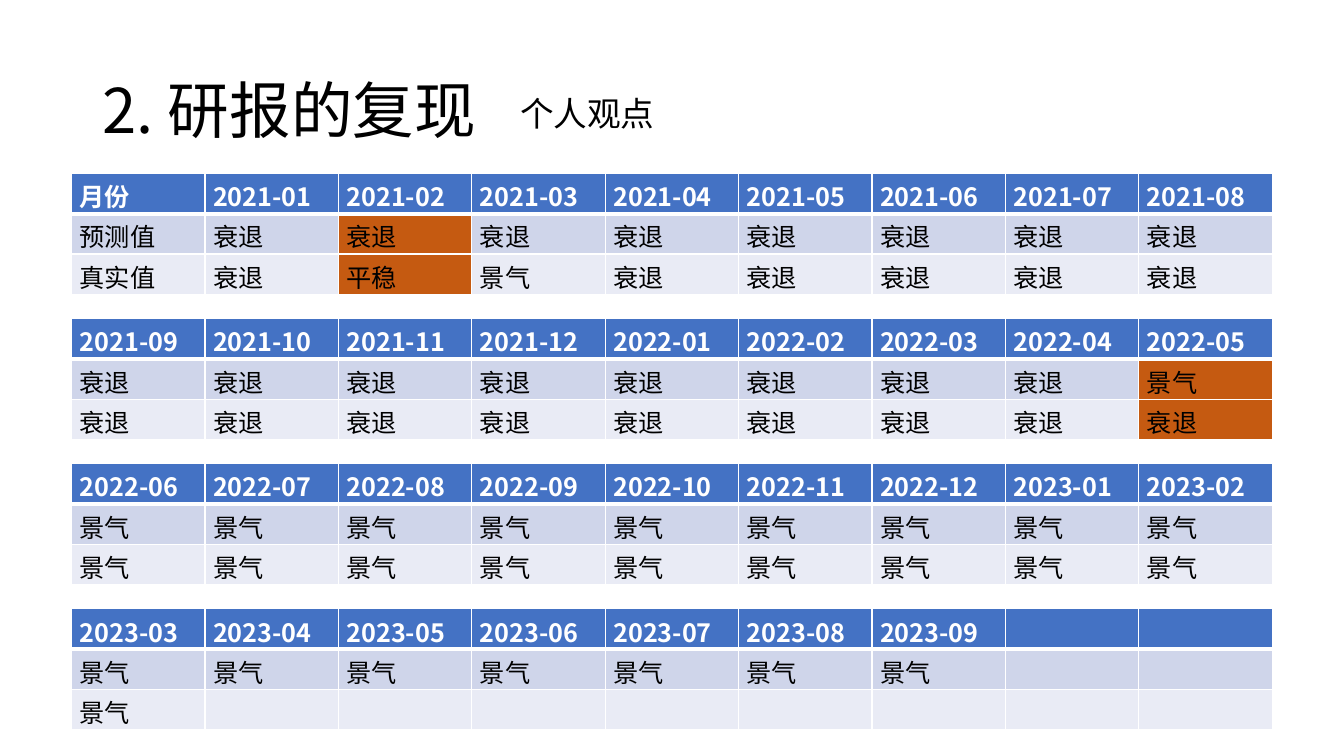
from dataclasses import dataclass

from lxml import etree
from pptx import Presentation
from pptx.dml.color import RGBColor
from pptx.enum.text import MSO_ANCHOR
from pptx.oxml.ns import qn
from pptx.util import Emu, Pt

MIDDLE = MSO_ANCHOR.MIDDLE
TOP = MSO_ANCHOR.TOP
FONT = "Noto Sans CJK SC"
WHITE, BLACK = "FFFFFF", "000000"
HEADER_BLUE, HIGHLIGHT = "4472C4", "C55A11"
ROW_FILLS = (HEADER_BLUE, "CFD5EA", "E9EBF5")
RECESSION, STABLE, BOOM = "衰退", "平稳", "景气"
COLUMNS = 9
TABLE_COUNT = 4
TABLE_LEFT, TABLE_TOP, TABLE_WIDTH = 71, 172, 1191
TABLE_STEP, ROW_HEIGHT = 144, 40
BORDER_POINTS = {"lnL": 1, "lnR": 1, "lnT": 1, "lnB": 1}
HEADER_BORDER_POINTS = BORDER_POINTS | {"lnB": 3}


@dataclass(frozen=True)
class Heading:
    text: str
    left: int
    top: int
    width: int
    height: int
    size: int
    anchor: MSO_ANCHOR
    line_spacing: float


@dataclass(frozen=True)
class MonthRecord:
    month: str = ""
    predicted: str = ""
    actual: str = ""
    highlighted: bool = False


HEADINGS = (
    Heading("2. 研报的复现", 92, 40, 1150, 145, 44, MIDDLE, 0.9),
    Heading("个人观点", 506, 87, 177, 50, 24, TOP, 1.0),
)


def px(length: int) -> Emu:
    return Emu(length * 9144)


def color(value: str) -> RGBColor:
    return RGBColor.from_string(value)


def write_text(paragraph, text: str, *, size: int, fill: str = BLACK, bold: bool = False) -> None:
    run = paragraph.add_run()
    run.text = text
    font = run.font
    font.name = FONT
    font.size = Pt(size)
    font.bold = bold
    font.color.rgb = color(fill)
    etree.SubElement(font._element, qn("a:ea"), typeface=FONT)


def draw_heading(slide, heading: Heading) -> None:
    shape = slide.shapes.add_textbox(
        px(heading.left), px(heading.top), px(heading.width), px(heading.height)
    )
    frame = shape.text_frame
    frame.word_wrap = True
    frame.vertical_anchor = heading.anchor
    paragraph = frame.paragraphs[0]
    paragraph.line_spacing = heading.line_spacing
    write_text(paragraph, heading.text, size=heading.size)


def draw_borders(cell, widths: dict[str, int]) -> None:
    properties = cell._tc.get_or_add_tcPr()
    for side, points in widths.items():
        line = etree.SubElement(properties, qn(f"a:{side}"), w=str(Pt(points)))
        solid = etree.SubElement(line, qn("a:solidFill"))
        etree.SubElement(solid, qn("a:srgbClr"), val=WHITE)


def draw_cell(cell, text: str, row: int, highlighted: bool) -> None:
    is_header = row == 0
    cell.margin_left = cell.margin_right = px(8)
    cell.margin_top, cell.margin_bottom = px(4), px(0)
    draw_borders(cell, HEADER_BORDER_POINTS if is_header else BORDER_POINTS)
    cell.fill.solid()
    cell.fill.fore_color.rgb = color(
        HIGHLIGHT if highlighted and not is_header else ROW_FILLS[row]
    )
    if text:
        write_text(
            cell.text_frame.paragraphs[0], text,
            size=18, fill=WHITE if is_header else BLACK, bold=is_header,
        )


def draw_table(slide, top: int, records: list[MonthRecord]) -> None:
    rows = len(ROW_FILLS)
    table = slide.shapes.add_table(
        rows, COLUMNS, px(TABLE_LEFT), px(top), px(TABLE_WIDTH), px(rows * ROW_HEIGHT)
    ).table
    for column, record in enumerate(records):
        texts = (record.month, record.predicted, record.actual)
        for row, text in enumerate(texts):
            draw_cell(table.cell(row, column), text, row, record.highlighted)


def build_records() -> list[MonthRecord]:
    months = [f"{2021 + index // 12}-{index % 12 + 1:02d}" for index in range(33)]
    predicted = [RECESSION] * 16 + [BOOM] * 17
    actual = [RECESSION, STABLE, BOOM] + [RECESSION] * 14 + [BOOM] * 10
    actual += [""] * (len(months) - len(actual))
    records = [MonthRecord("月份", "预测值", "真实值")]
    for month, forecast, outcome in zip(months, predicted, actual):
        records.append(MonthRecord(month, forecast, outcome, month in ("2021-02", "2022-05")))
    return records + [MonthRecord()] * (TABLE_COUNT * COLUMNS - len(records))


def main() -> None:
    presentation = Presentation()
    presentation.slide_width, presentation.slide_height = px(1333), px(750)
    slide = presentation.slides.add_slide(presentation.slide_layouts[6])
    for heading in HEADINGS:
        draw_heading(slide, heading)
    records = build_records()
    for index in range(TABLE_COUNT):
        start = index * COLUMNS
        draw_table(slide, TABLE_TOP + index * TABLE_STEP, records[start:start + COLUMNS])
    presentation.save("out.pptx")


if __name__ == "__main__":
    main()
